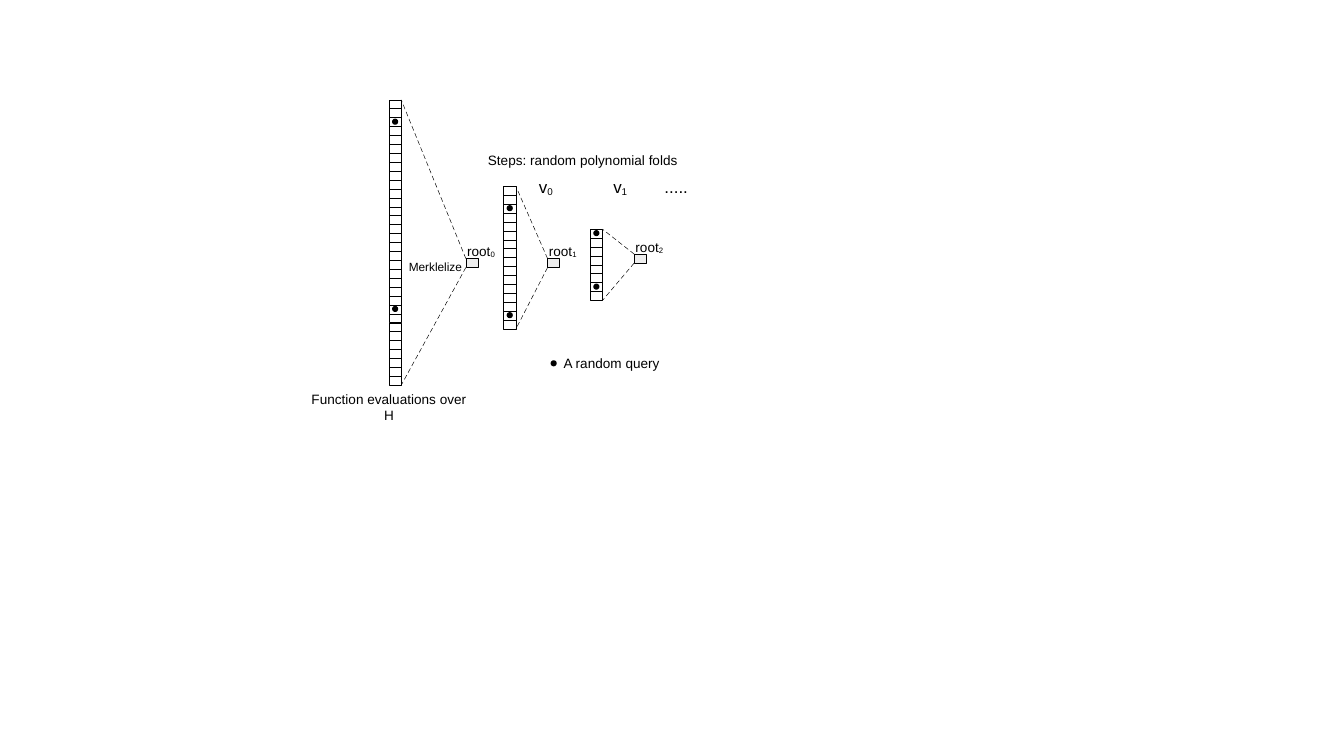
from lxml import etree
from pptx import Presentation
from pptx.dml.color import RGBColor
from pptx.enum.shapes import MSO_CONNECTOR, MSO_SHAPE
from pptx.enum.text import MSO_AUTO_SIZE, PP_ALIGN
from pptx.oxml.ns import qn
from pptx.util import Inches, Pt

RECT, OVAL = MSO_SHAPE.RECTANGLE, MSO_SHAPE.OVAL
STRAIGHT = MSO_CONNECTOR.STRAIGHT
GROW = MSO_AUTO_SIZE.SHAPE_TO_FIT_TEXT
LEFT, CENTER = PP_ALIGN.LEFT, PP_ALIGN.CENTER

# One grid unit is one cell of an evaluation column, in inches.
COL, ROW = 0.1, 2.34 / 32
DOT = 0.04
HAIRLINE = 0.28
COLORS = {"ink": "000000", "root": "EEEEEE"}


def x(cols):
    return Inches(cols * COL)


def y(rows):
    return Inches(rows * ROW)


def rgb(name):
    return RGBColor.from_string(COLORS[name])


class FoldingDiagram:
    def __init__(self, slide):
        self.shapes = slide.shapes

    def shape(self, kind, left, top, cols=1, rows=1, fill=None, weight=HAIRLINE):
        sp = self.shapes.add_shape(kind, x(left), y(top), x(cols), y(rows))
        sp.shadow.inherit = False
        if fill:
            sp.fill.solid()
            sp.fill.fore_color.rgb = rgb(fill)
        else:
            sp.fill.background()
        sp.line.color.rgb = rgb("ink")
        sp.line.width = Pt(weight)

    def dot(self, center_x, center_y):
        cols, rows = DOT / COL, DOT / ROW
        self.shape(OVAL, center_x - cols / 2, center_y - rows / 2, cols, rows,
                   "ink", weight=0)

    def dashed_line(self, x1, y1, x2, y2):
        line = self.shapes.add_connector(STRAIGHT, x(x1), y(y1), x(x2), y(y2))
        line.line.color.rgb = rgb("ink")
        line.line.width = Pt(HAIRLINE)
        dash = etree.SubElement(line.line._ln, qn("a:custDash"))
        etree.SubElement(dash, qn("a:ds"), d="1000000", sp="600000")
        etree.SubElement(line._element.spPr, qn("a:effectLst"))

    def text(self, left, top, cols, parts, size=8, rows=3, align=CENTER, tabs=()):
        """Write the parts in one line; every second part is a subscript."""
        box = self.shapes.add_textbox(x(left), y(top), x(cols), y(rows))
        tf = box.text_frame
        tf.word_wrap = bool(tabs)
        tf.auto_size = GROW
        p = tf.paragraphs[0]
        p.alignment = align
        if tabs:
            tab_list = etree.SubElement(p._p.get_or_add_pPr(), qn("a:tabLst"))
            for stop in tabs:
                etree.SubElement(tab_list, qn("a:tab"), pos=str(x(stop)), algn="l")
        p.font.name = "Arial"
        p.font.size = Pt(size)
        p.font.color.rgb = rgb("ink")
        for i, part in enumerate(parts):
            r = p.add_run()
            r.text = part
            if i % 2:
                r._r.get_or_add_rPr().set("baseline", "-8000")

    def merkle_column(self, index, left, top, cells, queries, root):
        """Stack the cells, mark the queried ones and join them to their root."""
        root_x, root_y = root
        for i in range(cells):
            self.shape(RECT, left, top + i)
        for query in queries:
            self.dot(left + 0.5, top + query + 0.45)
        self.shape(RECT, root_x, root_y, fill="root")
        self.dashed_line(root_x, root_y, left + 1, top)
        self.dashed_line(root_x, root_y + 1, left + 1, top + cells)
        self.text(root_x - 0.9, root_y - 2.4, 4.3, ["root", str(index)])


def main():
    prs = Presentation()
    prs.slide_width, prs.slide_height = Inches(11.02), Inches(6.2)
    diagram = FoldingDiagram(prs.slides.add_slide(prs.slide_layouts[6]))

    columns = [
        (31.9, 11.2, 32, (2, 23), (38.2, 29)),
        (41.3, 20.9, 16, (2, 14), (44.9, 29)),
        (48.4, 25.7, 8, (0, 6), (52, 28.5)),
    ]
    for index, column in enumerate(columns):
        diagram.merkle_column(index, *column)

    diagram.text(24, 43.2, 15.8, ["Function evaluations over H"])
    diagram.text(32.2, 28.4, 7, ["Merklelize"], size=7)
    diagram.text(39, 16.4, 17.6, ["Steps: random polynomial folds"])
    diagram.text(43.2, 19.15, 15.8, ["v", "0", "\tv", "1", "\t....."], size=10,
                 rows=3.4, align=LEFT, tabs=(6.1, 10.3))
    diagram.dot(45.4, 40.75)
    diagram.text(45.2, 39.1, 9.9, ["A random query"])

    prs.save("out.pptx")


if __name__ == "__main__":
    main()
